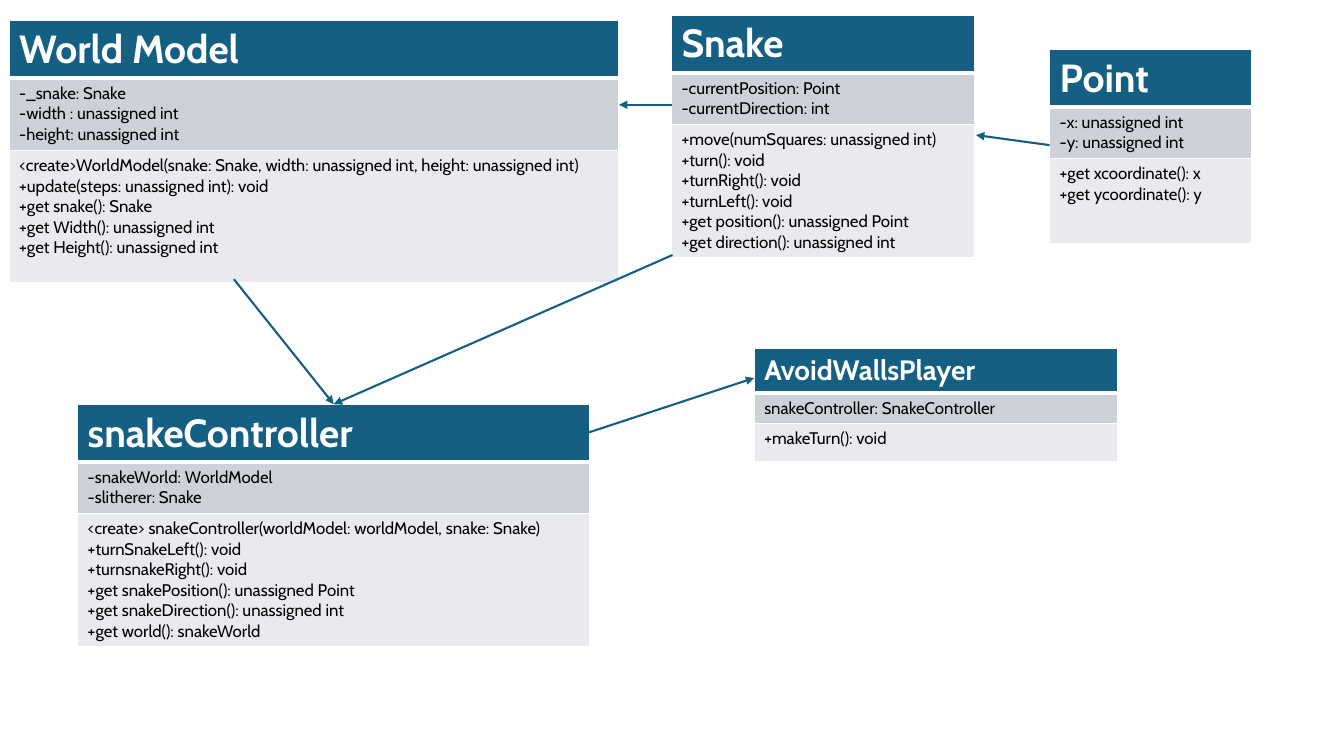
from dataclasses import dataclass

from lxml.etree import SubElement
from pptx import Presentation
from pptx.dml.color import RGBColor
from pptx.enum.shapes import MSO_CONNECTOR
from pptx.oxml.ns import qn
from pptx.slide import Slide
from pptx.table import _Cell
from pptx.util import Inches, Pt

FONT = "Cabin"
TEAL = RGBColor(0x15, 0x60, 0x82)
GREY = RGBColor(0xCC, 0xD2, 0xD8)
PALE = RGBColor(0xE8, 0xEA, 0xED)
WHITE = RGBColor(0xFF, 0xFF, 0xFF)
BLACK = RGBColor(0x00, 0x00, 0x00)


@dataclass(frozen=True)
class ClassBox:
    name: str
    left: float
    top: float
    width: float
    row_heights: tuple[float, float, float]
    attributes: list[str]
    methods: list[str]
    name_size: int = 28


@dataclass(frozen=True)
class Arrow:
    start: tuple[float, float]
    end: tuple[float, float]


CLASS_BOXES = [
    ClassBox(
        "Snake", 6.66, 0.15, 3.01, (0.57, 0.51, 1.32),
        ["-currentPosition: Point\v-currentDirection: int"],
        [
            "+move(numSquares: unassigned int)",
            "+turn(): void",
            "+turnRight(): void",
            "+turnLeft(): void",
            "+get position(): unassigned Point",
            "+get direction(): unassigned int",
        ],
    ),
    ClassBox(
        "Point", 10.41, 0.49, 2.0, (0.57, 0.51, 0.84),
        ["-x: unassigned int", "-y: unassigned int"],
        ["+get xcoordinate(): x", "+get ycoordinate(): y"],
    ),
    ClassBox(
        "snakeController", 0.77, 4.01, 5.08, (0.57, 0.51, 1.32),
        ["-snakeWorld: WorldModel", "-slitherer: Snake"],
        [
            "<create> snakeController(worldModel: worldModel, snake: Snake)",
            "+turnSnakeLeft(): void",
            "+turnsnakeRight(): void",
            "+get snakePosition(): unassigned Point",
            "+get snakeDirection(): unassigned int",
            "+get world(): snakeWorld",
        ],
    ),
    ClassBox(
        "World Model", 0.09, 0.2, 6.05, (0.57, 0.72, 1.31),
        ["-_snake: Snake", "-width : unassigned int", "-height: unassigned int"],
        [
            "<create>WorldModel(snake: Snake, width: unassigned int, height: unassigned int)",
            "+update(steps: unassigned int): void",
            "+get snake(): Snake",
            "+get Width(): unassigned int",
            "+get Height(): unassigned int",
        ],
    ),
    ClassBox(
        "AvoidWallsPlayer", 7.48, 3.46, 3.6, (0.43, 0.3, 0.38),
        ["snakeController: SnakeController"],
        ["+makeTurn(): void"],
        name_size=20,
    ),
]

ARROWS = [
    Arrow((10.41, 1.44), (9.68, 1.34)),
    Arrow((6.67, 1.04), (6.14, 1.04)),
    Arrow((6.67, 2.53), (3.31, 4.01)),
    Arrow((5.84, 4.29), (7.48, 3.75)),
    Arrow((2.32, 2.77), (3.31, 4.01)),
]


def set_borders(cell: _Cell, top: float, bottom: float) -> None:
    """Draw white borders, 1 pt at the sides and the given points above and below."""
    properties = cell._tc.get_or_add_tcPr()
    for tag, width in (("a:lnL", 1), ("a:lnR", 1), ("a:lnT", top), ("a:lnB", bottom)):
        line = SubElement(properties, qn(tag), w=str(Pt(width)))
        fill = SubElement(line, qn("a:solidFill"))
        SubElement(fill, qn("a:srgbClr"), val=str(WHITE))


def fill_cell(cell: _Cell, lines: list[str], background: RGBColor,
              color: RGBColor, size: int, bold: bool) -> None:
    cell.fill.solid()
    cell.fill.fore_color.rgb = background
    text_frame = cell.text_frame
    for index, line in enumerate(lines):
        paragraph = text_frame.add_paragraph() if index else text_frame.paragraphs[0]
        paragraph.text = line
        paragraph.font.name = FONT
        paragraph.font.size = Pt(size)
        paragraph.font.bold = bold
        paragraph.font.color.rgb = color


def add_class_box(slide: Slide, box: ClassBox) -> None:
    table = slide.shapes.add_table(
        3, 1, Inches(box.left), Inches(box.top),
        Inches(box.width), Inches(sum(box.row_heights)),
    ).table
    for row, height in zip(table.rows, box.row_heights):
        row.height = Inches(height)
    name_cell, attribute_cell, method_cell = table.iter_cells()
    set_borders(name_cell, 1, 3)
    set_borders(attribute_cell, 3, 1)
    set_borders(method_cell, 1, 1)
    fill_cell(name_cell, [box.name], TEAL, WHITE, box.name_size, True)
    fill_cell(attribute_cell, box.attributes, GREY, BLACK, 12, False)
    fill_cell(method_cell, box.methods, PALE, BLACK, 12, False)


def add_arrow(slide: Slide, arrow: Arrow) -> None:
    connector = slide.shapes.add_connector(
        MSO_CONNECTOR.STRAIGHT,
        *(Inches(length) for length in arrow.start + arrow.end),
    )
    connector.line.color.rgb = TEAL
    connector.line.width = Pt(1.5)
    SubElement(connector.line._get_or_add_ln(), qn("a:tailEnd"), type="triangle")
    SubElement(connector._element.spPr, qn("a:effectLst"))


def main() -> None:
    presentation = Presentation()
    presentation.slide_width = Inches(13.33)
    presentation.slide_height = Inches(7.5)
    blank_layout = presentation.slide_layouts[6]
    slide = presentation.slides.add_slide(blank_layout)
    for box in CLASS_BOXES:
        add_class_box(slide, box)
    for arrow in ARROWS:
        add_arrow(slide, arrow)
    presentation.save("out.pptx")


if __name__ == "__main__":
    main()
